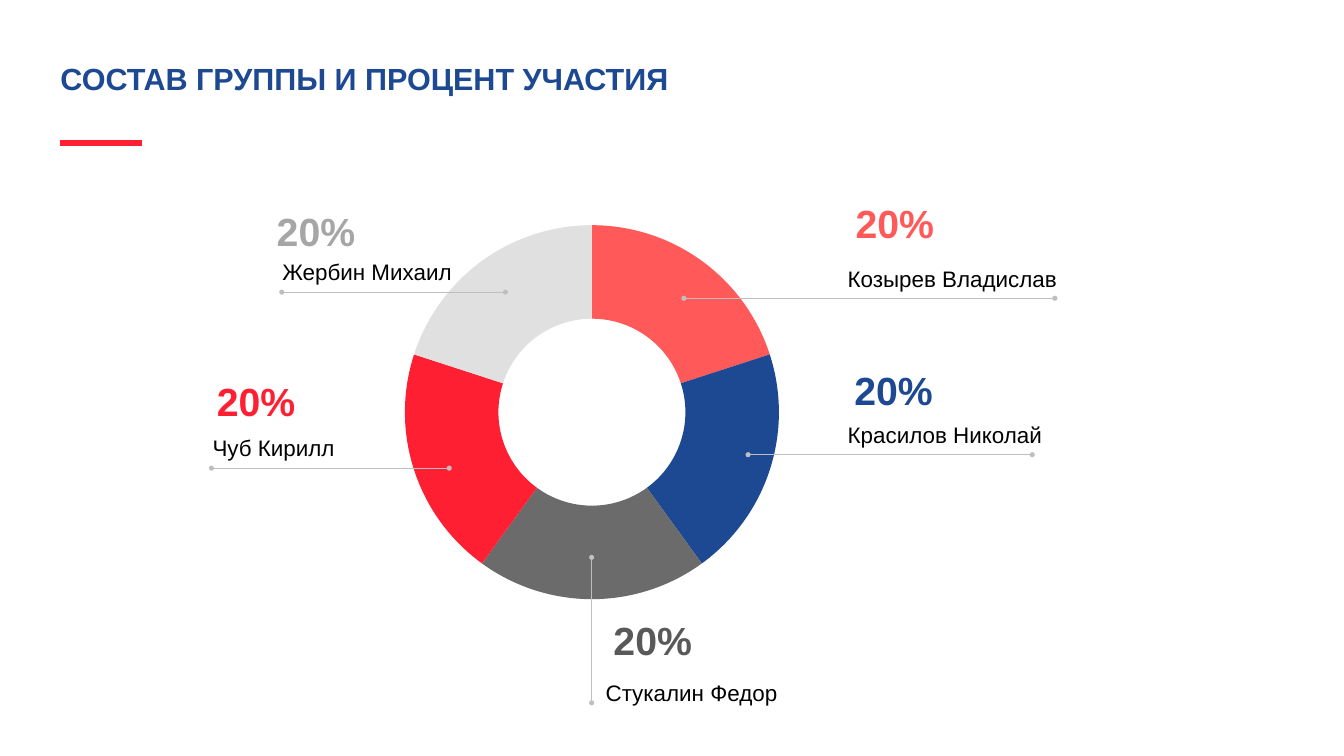
from lxml import etree
from pptx import Presentation
from pptx.chart.data import CategoryChartData
from pptx.dml.color import RGBColor
from pptx.enum.chart import XL_CHART_TYPE
from pptx.enum.shapes import MSO_CONNECTOR
from pptx.enum.text import MSO_AUTO_SIZE, PP_ALIGN
from pptx.oxml.ns import qn
from pptx.util import Inches, Pt

DONUT = XL_CHART_TYPE.DOUGHNUT
LINE = MSO_CONNECTOR.STRAIGHT
GROW = MSO_AUTO_SIZE.SHAPE_TO_FIT_TEXT
LEFT, CENTER = PP_ALIGN.LEFT, PP_ALIGN.CENTER

BLUE, RED, GRAY, BLACK = "1D4992", "FF1F33", "BFBFBF", "000000"
SLICES = ["FF595A", BLUE, "6B6B6B", RED, "E0E0E0"]
SHARE = 20
RING = 6.12

MEMBERS = [
    ("Козырев Владислав", "FF595A", (13.89, 3.21), (13.77, 4.29, 4.61),
     (17.26, 4.88, 11.19, 4.88)),
    ("Красилов Николай", BLUE, (13.87, 5.95), (13.77, 6.84, 5.19),
     (16.89, 7.44, 12.24, 7.44)),
    ("Стукалин Федор", "595959", (9.93, 10.03), (9.81, 11.06, 4.41),
     (9.68, 9.12, 9.68, 11.5)),
    ("Чуб Кирилл", RED, (3.44, 6.12), (3.38, 7.05, 2.73),
     (3.46, 7.66, 7.35, 7.66)),
    ("Жербин Михаил", "A6A6A6", (4.42, 3.35), (4.52, 4.18, 3.17),
     (8.27, 4.78, 4.61, 4.78)),
]


def color(code):
    """Turn a hex string into a colour."""
    return RGBColor.from_string(code)


def add_text(shapes, box, text, size, code, bold=False, align=LEFT, wrap=True):
    """Add a one-paragraph text box and return it."""
    shape = shapes.add_textbox(*map(Inches, box))
    frame = shape.text_frame
    frame.word_wrap = wrap
    frame.auto_size = GROW
    para = frame.paragraphs[0]
    para.text = text
    para.alignment = align
    font = para.font
    font.name, font.size, font.bold = "Arial", Pt(size), bold
    font.color.rgb = color(code)
    return shape


def add_line(shapes, ends, code, width, dots=False):
    """Add a straight line, with round ends if asked."""
    line = shapes.add_connector(LINE, *map(Inches, ends))
    line.line.color.rgb = color(code)
    line.line.width = Pt(width)
    props = line._element.spPr
    etree.SubElement(props, qn("a:effectLst"))
    if dots:
        for tag in ("a:headEnd", "a:tailEnd"):
            etree.SubElement(props.find(qn("a:ln")), qn(tag), type="oval")


def add_title(shapes, box):
    """Add the heading with a red rule below it."""
    left, top, width, height = box
    shape = add_text(shapes, box, "СОСТАВ ГРУППЫ И ПРОЦЕНТ УЧАСТИЯ",
                     36, BLUE, bold=True)
    frame = shape.text_frame
    frame.margin_left = frame.margin_right = frame.margin_bottom = 0
    frame.margin_top = Inches(0.01)
    para = frame.paragraphs[0]
    para.line_spacing = 1.01
    para.space_before = Pt(0.9)
    rule = top + 1.38
    add_line(shapes, (left + 1.34, rule, left, rule), RED, 6)


def add_ring(shapes, box):
    """Add the doughnut chart, centred in its box."""
    data = CategoryChartData()
    data.categories = [str(num + 1) for num in range(len(SLICES))]
    data.add_series("Series 1", [SHARE] * len(SLICES))
    chart = shapes.add_chart(DONUT, *map(Inches, box), data).chart
    chart.has_title = chart.has_legend = False
    chart.font.name, chart.font.size = "Calibri", Pt(10)
    chart.font.color.rgb = color(BLACK)
    plot = chart.plots[0]
    plot.vary_by_categories = True
    for num, code in enumerate(SLICES):
        form = plot.series[0].points[num].format
        form.fill.solid()
        form.fill.fore_color.rgb = color(code)
        form.line.fill.background()
    area = chart._chartSpace.chart.plotArea
    area.find(".//" + qn("c:holeSize")).set("val", "60")
    for old in area.findall(qn("c:layout")):
        area.remove(old)
    layout = etree.Element(qn("c:layout"))
    area.insert(0, layout)
    manual = etree.SubElement(layout, qn("c:manualLayout"))
    wide, high = RING / box[2], RING / box[3]
    rules = [("layoutTarget", "inner"), ("xMode", "edge"), ("yMode", "edge"),
             ("x", (1 - wide) / 2), ("y", (1 - high) / 2),
             ("w", wide), ("h", high)]
    for tag, value in rules:
        etree.SubElement(manual, qn("c:" + tag), val=str(value))


def add_member(shapes, name, code, spot, label, ends):
    """Add one member's share, name and leader line."""
    group = shapes.add_group_shape().shapes
    add_text(group, (*spot, 1.5, 0.88), f"{SHARE}%", 46.2, code,
             bold=True, align=CENTER, wrap=False)
    add_text(group, (*label, 0.54), name, 26.4, BLACK)
    add_line(shapes, ends, GRAY, 1, dots=True)


def main():
    """Build and save the slide."""
    deck = Presentation()
    deck.slide_width, deck.slide_height = Inches(21.99), Inches(12.37)
    shapes = deck.slides.add_slide(deck.slide_layouts[6]).shapes
    add_title(shapes, (0.99, 0.96, 14.04, 0.59))
    add_ring(shapes, (6.44, 3.55, 6.49, 6.39))
    for member in MEMBERS:
        add_member(shapes, *member)
    deck.save("out.pptx")


if __name__ == "__main__":
    main()
